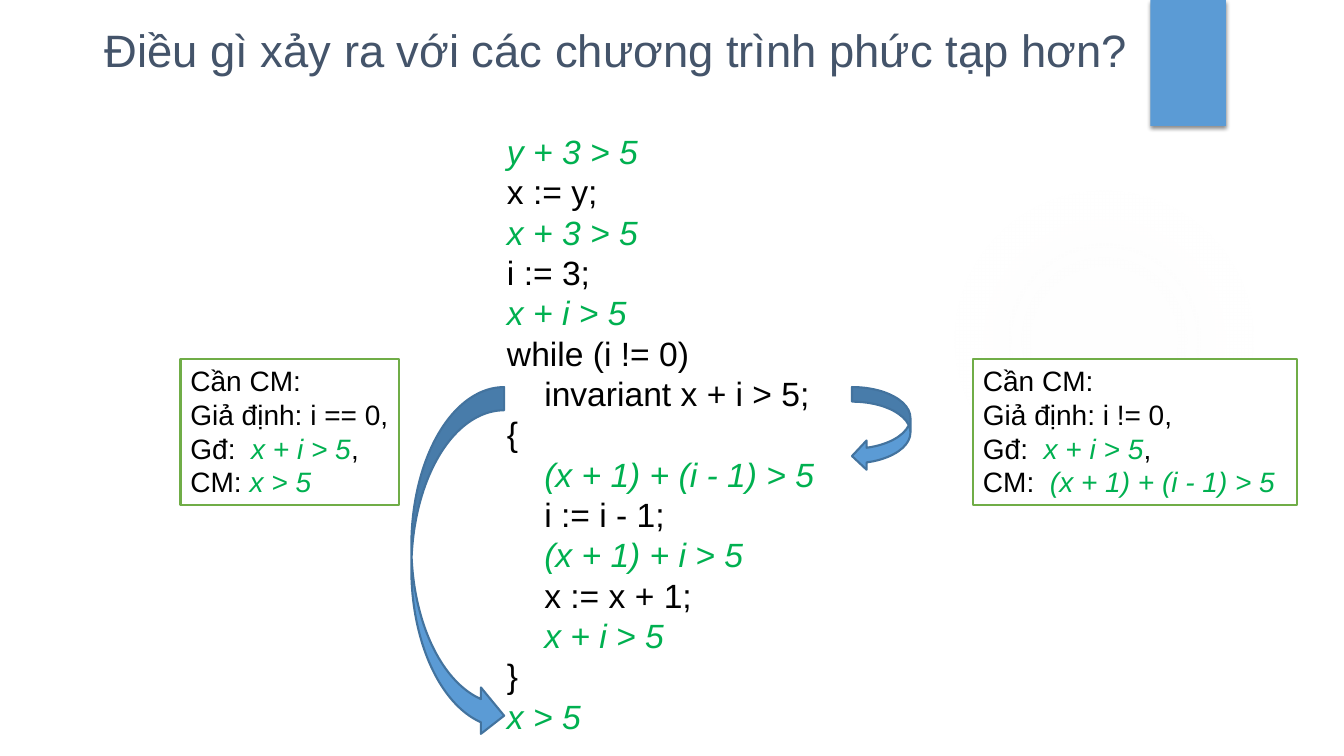
"""Build a slide on verifying a program with a loop invariant."""
from dataclasses import dataclass

from lxml.etree import SubElement
from pptx import Presentation
from pptx.dml.color import RGBColor
from pptx.enum.shapes import MSO_SHAPE
from pptx.enum.text import MSO_ANCHOR, PP_ALIGN
from pptx.oxml import parse_xml
from pptx.oxml.ns import nsdecls, qn
from pptx.shapes.autoshape import Shape
from pptx.slide import Slide
from pptx.util import Inches, Pt


@dataclass(frozen=True)
class Theme:
    """Colours, font and type sizes."""
    font: str = "Arial"
    title: str = "44546A"
    text: str = "000000"
    formula: str = "00B050"
    paper: str = "FFFFFF"
    accent: str = "5B9BD5"
    arrow_line: str = "43739E"
    note_line: str = "70AD47"
    glow: str = "F1F0F0"
    title_size: float = 32.4
    code_size: float = 24
    note_size: float = 20


@dataclass(frozen=True)
class Box:
    """Position and size in inches."""
    left: float
    top: float
    width: float
    height: float

    def emu(self) -> list[int]:
        """Return the four lengths in drawing units."""
        return [Inches(v) for v in (self.left, self.top, self.width, self.height)]


@dataclass(frozen=True)
class Line:
    """One line of text; parts between bars are formulas."""
    text: str
    level: int = 0


@dataclass(frozen=True)
class Panel:
    """A white box holding lines of text."""
    box: Box
    lines: list[Line]
    size: float
    border: str | None = None
    right: float = 0.0


@dataclass(frozen=True)
class Arrow:
    """A curved arrow."""
    kind: MSO_SHAPE
    box: Box


THEME = Theme()
INDENT = 0.37
TITLE = "Điều gì xảy ra với các chương trình phức tạp hơn?"

CODE = Panel(Box(4.93, 1.25, 3.48, 6.16), [
    Line("|y + 3 > 5|"),
    Line("x := y;"),
    Line("|x + 3 > 5|"),
    Line("i := 3;"),
    Line("|x + i > 5|"),
    Line("while (i != 0)"),
    Line("invariant x + i > 5;", 1),
    Line("{"),
    Line("|(x + 1) + (i - 1) > 5|", 1),
    Line("i := i - 1;", 1),
    Line("|(x + 1) + i > 5|", 1),
    Line("x := x + 1;", 1),
    Line("|x + i > 5|", 1),
    Line("}"),
    Line("|x > 5|"),
], THEME.code_size)


def note(left: float, width: float, guard: str, goal: str) -> Panel:
    """Describe a proof obligation."""
    lines = ["Cần CM:", f"Giả định: {guard},", "Gđ:  |x + i > 5|,", goal]
    return Panel(Box(left, 3.56, width, 1.45), [Line(t) for t in lines],
                 THEME.note_size, THEME.note_line)


EXIT_NOTE = note(1.79, 2.17, "i == 0", "CM: |x > 5|")
BODY_NOTE = note(9.65, 3.21, "i != 0", "CM:  |(x + 1) + (i - 1) > 5|")
BODY_ARROW = Arrow(MSO_SHAPE.CURVED_LEFT_ARROW, Box(8.45, 3.84, 0.58, 0.83))
EXIT_ARROW = Arrow(MSO_SHAPE.CURVED_RIGHT_ARROW, Box(4.08, 3.84, 0.92, 3.49))


def add_shape(s: Slide, kind: MSO_SHAPE, box: Box, fill: str,
              border: str | None = None) -> Shape:
    """Add a filled shape without shadow."""
    sp = s.shapes.add_shape(kind, *box.emu())
    sp.shadow.inherit = False
    sp.fill.solid()
    sp.fill.fore_color.rgb = RGBColor.from_string(fill)
    if border:
        sp.line.color.rgb = RGBColor.from_string(border)
        sp.line.width = Pt(1.5)
    else:
        sp.line.fill.background()
    return sp


def write(sp: Shape, lines: list[Line], size: float, color: str,
          right: float = 0.1) -> None:
    """Write lines into a shape, with formulas green and italic."""
    tf = sp.text_frame
    frame = {"word_wrap": True, "vertical_anchor": MSO_ANCHOR.TOP,
             "margin_right": Inches(right)}
    for name, value in frame.items():
        setattr(tf, name, value)
    for i, line in enumerate(lines):
        p = tf.add_paragraph() if i else tf.paragraphs[0]
        p.alignment = PP_ALIGN.LEFT
        if line.level:
            p._p.get_or_add_pPr().set("marL", str(Inches(INDENT * line.level)))
        for j, part in enumerate(line.text.split("|")):
            if not part:
                continue
            formula = j % 2 == 1
            r = p.add_run()
            r.text = part
            font = {"name": THEME.font, "size": Pt(size), "italic": formula}
            for name, value in font.items():
                setattr(r.font, name, value)
            r.font.color.rgb = RGBColor.from_string(THEME.formula if formula else color)


def add_panel(s: Slide, panel: Panel) -> None:
    """Add a panel with its text."""
    sp = add_shape(s, MSO_SHAPE.RECTANGLE, panel.box, THEME.paper, panel.border)
    write(sp, panel.lines, panel.size, THEME.text, panel.right)


def add_arrow(s: Slide, arrow: Arrow) -> None:
    """Add a curved arrow."""
    add_shape(s, arrow.kind, arrow.box, THEME.accent, THEME.arrow_line)


def add_glow(s: Slide) -> None:
    """Add the faint round glow."""
    sp = add_shape(s, MSO_SHAPE.OVAL, Box(9.41, 1.83, 3.08, 3.08), THEME.glow)
    stops = "".join(
        f'<a:gs pos="{pos}000"><a:srgbClr val="{THEME.glow}">'
        f'<a:alpha val="{alpha}000"/></a:srgbClr></a:gs>'
        for pos, alpha in ((0, 7), (36, 6), (69, 0)))
    grad = parse_xml(
        f'<a:gradFill {nsdecls("a")}><a:gsLst>{stops}</a:gsLst><a:path path="circle">'
        '<a:fillToRect l="50000" t="50000" r="50000" b="50000"/></a:path></a:gradFill>')
    spPr = sp._element.spPr
    spPr.replace(spPr.find(qn("a:solidFill")), grad)


def add_tab(s: Slide) -> None:
    """Add the blue tab with its soft shadow."""
    sp = add_shape(s, MSO_SHAPE.RECTANGLE, Box(11.41, 0, 0.75, 1.25), THEME.accent)
    effects = sp._element.spPr.find(qn("a:effectLst"))
    shadow = SubElement(effects, qn("a:outerShdw"), blurRad=str(Pt(3)),
                        dist=str(Pt(2)), dir="5400000", rotWithShape="0")
    color = SubElement(shadow, qn("a:srgbClr"), val=THEME.text)
    SubElement(color, qn("a:alpha"), val="45000")


def main() -> None:
    """Build and save the slide."""
    prs = Presentation()
    prs.slide_width, prs.slide_height = Inches(13.33), Inches(7.5)
    s = prs.slides.add_slide(prs.slide_layouts[6])
    add_glow(s)
    add_tab(s)
    title = s.shapes.add_textbox(*Box(0.94, 0.17, 10.49, 1.25).emu())
    write(title, [Line(TITLE)], THEME.title_size, THEME.title)
    add_panel(s, CODE)
    add_panel(s, EXIT_NOTE)
    add_arrow(s, BODY_ARROW)
    add_panel(s, BODY_NOTE)
    add_arrow(s, EXIT_ARROW)
    prs.save("out.pptx")


if __name__ == "__main__":
    main()
